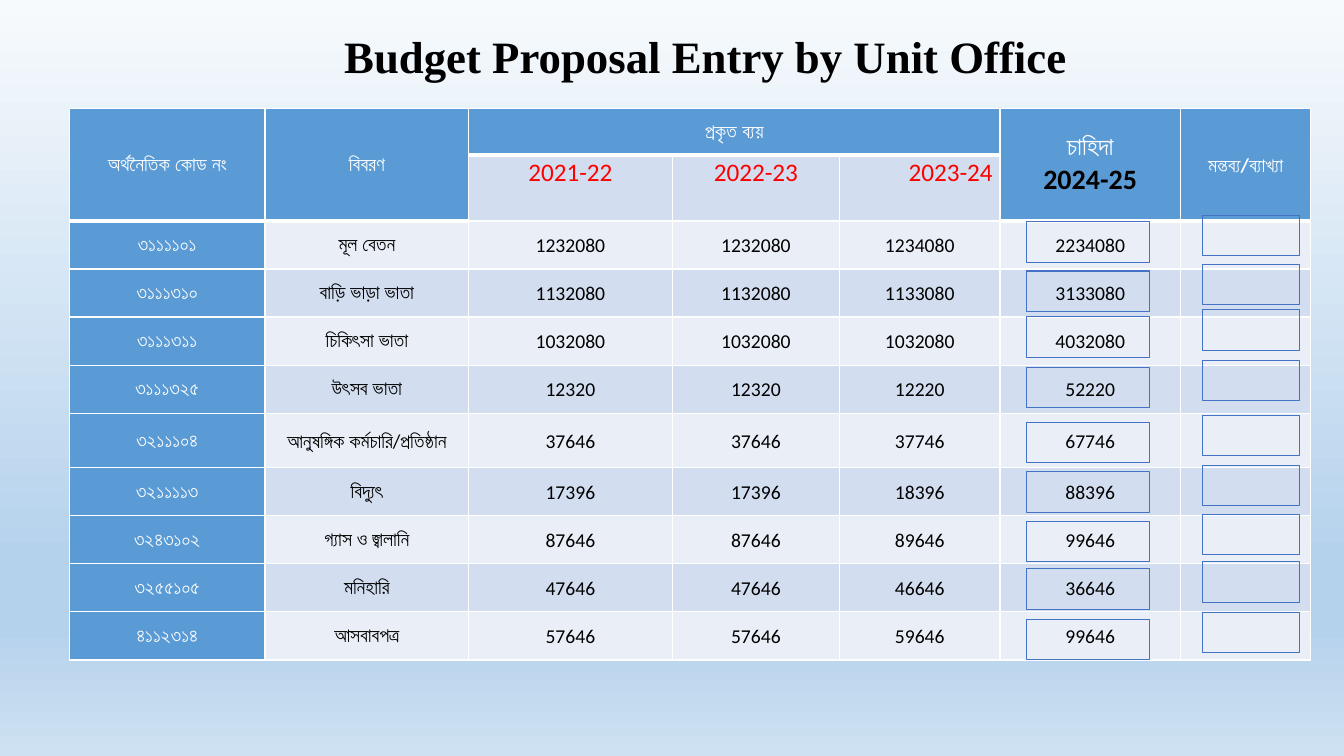
"""Build the budget proposal entry slide."""
from lxml import etree
from pptx import Presentation
from pptx.dml.color import RGBColor
from pptx.enum.shapes import MSO_SHAPE
from pptx.enum.text import MSO_ANCHOR, MSO_AUTO_SIZE, PP_ALIGN
from pptx.oxml.ns import qn
from pptx.util import Cm, Pt

RECTANGLE = MSO_SHAPE.RECTANGLE
TOP, MIDDLE = MSO_ANCHOR.TOP, MSO_ANCHOR.MIDDLE
NO_AUTOFIT = MSO_AUTO_SIZE.NONE
CENTER, RIGHT = PP_ALIGN.CENTER, PP_ALIGN.RIGHT

COLORS = {
    "black": "000000", "white": "FFFFFF", "red": "FF0000",
    "header": "5B9BD5", "pale": "EAEFF7", "band": "D2DEEF", "entry": "4472C4",
}
BACKGROUND_STOPS = [(0, "F7FAFD"), (74, "B5D2EC"), (83, "B5D2EC"), (100, "CEE1F2")]
COLUMN_WIDTHS = [4.93, 5.13, 5.13, 4.22, 4.04, 4.55, 3.28]
HEADER_HEIGHTS = [1.17, 1.66]
ROW_HEIGHT, TALL_ROW_HEIGHT, TALL_ROW = 1.21, 1.38, 4
YEAR_COLUMNS = range(2, 5)
HEADINGS = {0: "অর্থনৈতিক কোড নং", 1: "বিবরণ", 2: "প্রকৃত ব্যয়", 6: "মন্তব্য/ব্যাখ্যা"}
YEARS = [("2021-22", CENTER), ("2022-23", CENTER), ("2023-24", RIGHT)]
BUDGET_LINES = [
    ("৩১১১১০১", "মূল বেতন", 1232080, 1232080, 1234080, 2234080),
    ("৩১১১৩১০", "বাড়ি ভাড়া ভাতা", 1132080, 1132080, 1133080, 3133080),
    ("৩১১১৩১১", "চিকিৎসা ভাতা", 1032080, 1032080, 1032080, 4032080),
    ("৩১১১৩২৫", "উৎসব ভাতা", 12320, 12320, 12220, 52220),
    ("৩২১১১০৪", "আনুষঙ্গিক কর্মচারি/প্রতিষ্ঠান", 37646, 37646, 37746, 67746),
    ("৩২১১১১৩", "বিদ্যুৎ", 17396, 17396, 18396, 88396),
    ("৩২৪৩১০২", "গ্যাস ও জ্বালানি", 87646, 87646, 89646, 99646),
    ("৩২৫৫১০৫", "মনিহারি", 47646, 47646, 46646, 36646),
    ("৪১১২৩১৪", "আসবাবপত্র", 57646, 57646, 59646, 99646),
]
DEMAND_BOX_TOPS = [5.59, 6.83, 7.98, 9.25, 10.64, 11.89, 13.13, 14.33, 15.6]
REMARK_BOX_RISE = 0.17


def rgb(name):
    """Return a named colour."""
    return RGBColor.from_string(COLORS[name])


def add_span(para, text, size, color, bold=False, font="Calibri"):
    """Add one formatted run to a paragraph."""
    span = para.add_run()
    span.text = text
    span.font.name = font
    span.font.size = Pt(size)
    span.font.bold = bold
    span.font.color.rgb = rgb(color)


def paint_background(page):
    """Give the page its vertical gradient."""
    fill = page.background.fill
    fill.gradient()
    fill.gradient_angle = 270
    stops = page.element.find(".//" + qn("a:gsLst"))
    for stop in list(stops):
        stops.remove(stop)
    for percent, color in BACKGROUND_STOPS:
        stop = etree.SubElement(stops, qn("a:gs"), pos=str(percent * 1000))
        etree.SubElement(stop, qn("a:srgbClr"), val=color)


def write_title(page, text):
    """Place and format the title."""
    title = page.shapes.title
    title.left, title.top = Cm(0), Cm(0.25)
    title.width, title.height = Cm(33.87), Cm(1.75)
    frame = title.text_frame
    frame.auto_size = NO_AUTOFIT
    frame.word_wrap = True
    frame.vertical_anchor = TOP
    frame.margin_left, frame.margin_right = Cm(2.03), Cm(0.33)
    frame.margin_top, frame.margin_bottom = Cm(0.48), Cm(0)
    para = frame.paragraphs[0]
    para.alignment = CENTER
    para.line_spacing = 1.0
    para.space_before = Pt(0)
    add_span(para, text, 32, "black", True, "Times New Roman")


def style_cell(cell, fill, top_width=1, bottom_width=1):
    """Set the borders, margins and fill of a cell."""
    properties = cell._tc.get_or_add_tcPr()
    for side, width in zip("LRTB", (1, 1, top_width, bottom_width)):
        line = etree.SubElement(properties, qn("a:ln" + side), w=str(Pt(width)))
        solid = etree.SubElement(line, qn("a:solidFill"))
        etree.SubElement(solid, qn("a:srgbClr"), val=COLORS["white"])
    cell.margin_left = cell.margin_right = Cm(0.18)
    cell.margin_top = cell.margin_bottom = Cm(0)
    cell.vertical_anchor = MIDDLE
    cell.fill.solid()
    cell.fill.fore_color.rgb = rgb(fill)


def write_cell(cell, text, size, color, bold=False, align=CENTER):
    """Write one line into a cell, after any line already there."""
    frame = cell.text_frame
    para = frame.add_paragraph() if frame.text else frame.paragraphs[0]
    para.alignment = align
    para.line_spacing = 1.07
    add_span(para, text, size, color, bold)


def style_grid(table):
    """Style every cell by its row and column."""
    for row in range(len(table.rows)):
        for column in range(len(table.columns)):
            is_year = column in YEAR_COLUMNS
            is_header = row == 0 or column == 0 or (row == 1 and not is_year)
            band = "band" if row % 2 else "pale"
            thick_row = 0 if is_year else 1
            style_cell(table.cell(row, column), "header" if is_header else band,
                       3 if row == thick_row + 1 else 1,
                       3 if row == thick_row else 1)


def write_headings(table):
    """Merge and fill the two heading rows."""
    for column in (0, 1, 5, 6):
        table.cell(0, column).merge(table.cell(1, column))
    table.cell(0, YEAR_COLUMNS[0]).merge(table.cell(0, YEAR_COLUMNS[-1]))
    for column, heading in HEADINGS.items():
        write_cell(table.cell(0, column), heading, 14, "white", True)
    write_cell(table.cell(0, 5), "চাহিদা", 18, "white", True)
    write_cell(table.cell(0, 5), "2024-25", 20, "black", True)
    for column, (year, align) in zip(YEAR_COLUMNS, YEARS):
        cell = table.cell(1, column)
        cell.vertical_anchor = TOP
        write_cell(cell, year, 18, "red", align=align)


def add_budget_table(page):
    """Add the table of budget lines."""
    heights = HEADER_HEIGHTS + [TALL_ROW_HEIGHT if index == TALL_ROW else ROW_HEIGHT
                                for index in range(len(BUDGET_LINES))]
    table = page.shapes.add_table(
        len(heights), len(COLUMN_WIDTHS), Cm(1.75), Cm(2.74),
        Cm(sum(COLUMN_WIDTHS)), Cm(sum(heights))).table
    table.first_row = table.horz_banding = False
    for column, width in zip(table.columns, COLUMN_WIDTHS):
        column.width = Cm(width)
    for row, height in zip(table.rows, heights):
        row.height = Cm(height)
    style_grid(table)
    write_headings(table)
    for row, values in enumerate(BUDGET_LINES, len(HEADER_HEIGHTS)):
        for column, value in enumerate(values):
            is_code = column == 0
            write_cell(table.cell(row, column), str(value), 14,
                       "white" if is_code else "black", is_code)


def add_entry_box(page, left, top, width):
    """Add one outlined entry box."""
    box = page.shapes.add_shape(RECTANGLE, Cm(left), Cm(top), Cm(width), Cm(1.02))
    box.shadow.inherit = False
    box.fill.background()
    box.line.color.rgb = rgb("entry")
    box.line.width = Pt(0.75)


def main():
    """Build and save the deck."""
    deck = Presentation()
    deck.slide_width, deck.slide_height = Cm(33.87), Cm(19.05)
    page = deck.slides.add_slide(deck.slide_layouts.get_by_name("Title Only"))
    paint_background(page)
    write_title(page, "Budget Proposal Entry by Unit Office")
    add_budget_table(page)
    for top in DEMAND_BOX_TOPS:
        add_entry_box(page, 25.88, top, 3.1)
        add_entry_box(page, 30.3, top - REMARK_BOX_RISE, 2.44)
    deck.save("out.pptx")


if __name__ == "__main__":
    main()
